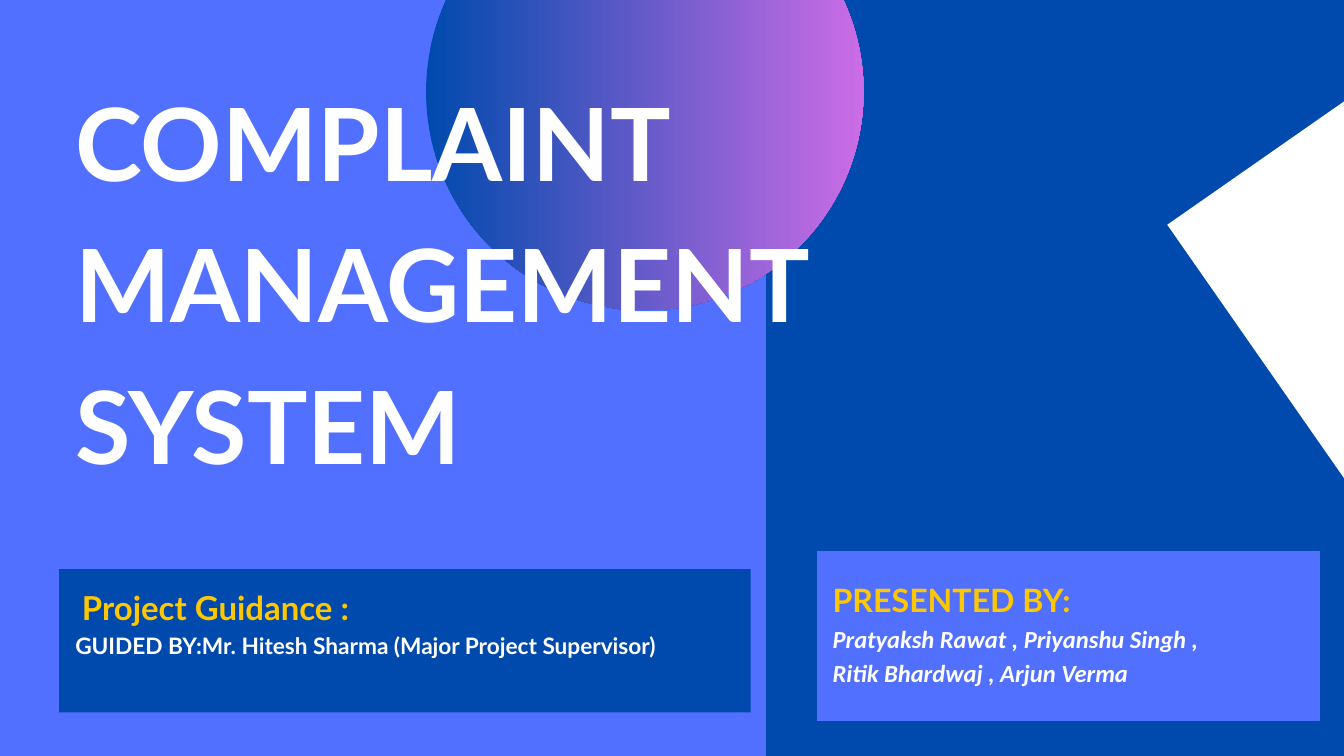
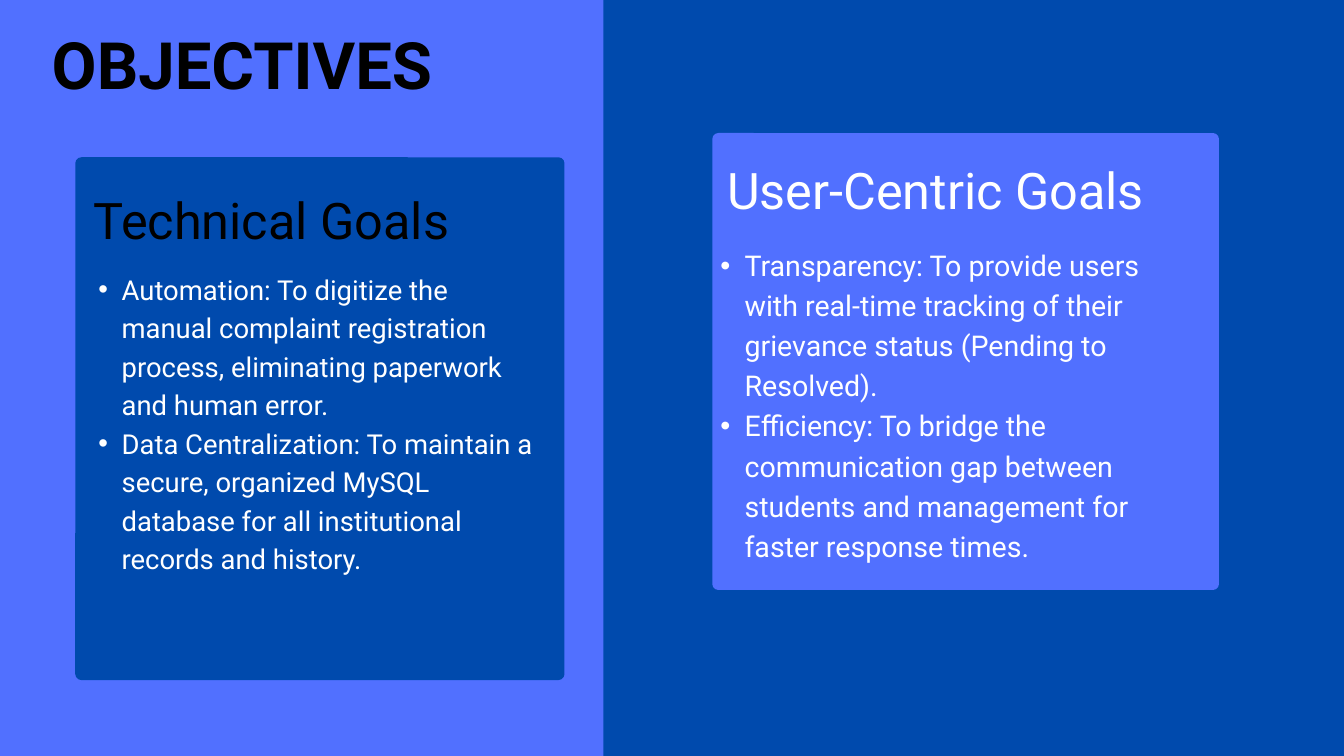
from dataclasses import dataclass
from lxml.etree import SubElement
from pptx import Presentation
from pptx.dml.color import RGBColor
from pptx.enum.shapes import MSO_SHAPE
from pptx.enum.text import MSO_ANCHOR, MSO_AUTO_SIZE, PP_ALIGN
from pptx.oxml.ns import qn
from pptx.util import Inches, Pt

SLIDE_WIDTH, SLIDE_HEIGHT = 20, 11.25
TITLE_ONLY = 5


@dataclass(frozen=True)
class Box:
    left: float
    top: float
    width: float
    height: float

    def inner(self, left, top, width, height):
        return Box(self.left + left, self.top + top, width, height)

    def lengths(self):
        return [Inches(value) for value in (self.left, self.top, self.width, self.height)]


@dataclass(frozen=True)
class Style:
    name: str
    size: float
    spacing: float
    color: RGBColor
    bold: bool = False
    italic: bool = False
    indent: float = 0
    bullet: bool = False

    def font_values(self):
        return {"name": self.name, "size": Pt(self.size), "bold": self.bold, "italic": self.italic}


class Theme:
    sky = RGBColor.from_string("5170FF")
    navy = RGBColor.from_string("004AAD")
    orchid = RGBColor.from_string("CB6CE6")
    gold = RGBColor.from_string("FFC700")
    white = RGBColor.from_string("FFFFFF")
    black = RGBColor.from_string("000000")

    cover_title = Style("Lato", 108.2, 151.4, white, bold=True)
    title = Style("Roboto", 69.9, 97.9, black, bold=True)
    guidance_heading = Style("Lato", 35.3, 49.4, gold, bold=True, indent=0.1)
    guidance_text = Style("Lato", 24.3, 34, white, bold=True)
    presenters_heading = Style("Lato", 34.4, 48.1, gold, bold=True)
    presenters_text = Style("Calibri", 26.3, 36.9, white, bold=True, italic=True)
    technical_heading = Style("Roboto", 54, 75.6, black)
    technical_text = Style("Roboto", 29.4, 41.2, white, indent=0.69, bullet=True)
    user_heading = Style("Roboto", 54, 75.6, white)
    user_text = Style("Roboto", 30.6, 42.9, white, indent=0.72, bullet=True)


def set_indent(paragraph, style):
    properties = paragraph._p.get_or_add_pPr()
    properties.set("marL", str(Inches(style.indent)))
    if style.bullet:
        properties.set("indent", str(-Inches(style.indent / 2)))
        SubElement(properties, qn("a:buFont"), typeface="Arial")
        SubElement(properties, qn("a:buChar"), char="•")


def write_text(shape, lines):
    frame = shape.text_frame
    frame_values = {
        "margin_left": 0, "margin_top": 0, "margin_right": 0, "margin_bottom": 0,
        "word_wrap": True, "auto_size": MSO_AUTO_SIZE.NONE, "vertical_anchor": MSO_ANCHOR.TOP,
    }
    for name, value in frame_values.items():
        setattr(frame, name, value)
    for index, (text, style) in enumerate(lines):
        paragraph = frame.add_paragraph() if index else frame.paragraphs[0]
        if style.indent:
            set_indent(paragraph, style)
        paragraph.alignment = PP_ALIGN.LEFT
        paragraph.line_spacing = Pt(style.spacing)
        run = paragraph.add_run()
        run.text = text
        for name, value in style.font_values().items():
            setattr(run.font, name, value)
        run.font.color.rgb = style.color


def add_text(slide, box, lines):
    write_text(slide.shapes.add_textbox(*box.lengths()), lines)


def add_block(slide, box, color, kind=MSO_SHAPE.RECTANGLE):
    shape = slide.shapes.add_shape(kind, *box.lengths())
    shape.shadow.inherit = False
    shape.fill.solid()
    shape.fill.fore_color.rgb = color
    shape.line.fill.background()
    return shape


def add_title(slide, box, lines, style):
    title = slide.shapes.title
    title.left, title.top, title.width, title.height = box.lengths()
    write_text(title, [(line, style) for line in lines])
    title.element.getparent().append(title.element)


def add_split_slide(presentation, split):
    slide = presentation.slides.add_slide(presentation.slide_layouts[TITLE_ONLY])
    slide.background.fill.solid()
    slide.background.fill.fore_color.rgb = Theme.sky
    add_block(slide, Box(split, 0, SLIDE_WIDTH - split, SLIDE_HEIGHT), Theme.navy)
    return slide


def add_gradient_circle(slide, box):
    circle = add_block(slide, box, Theme.navy, MSO_SHAPE.OVAL)
    circle.fill.gradient()
    circle.fill.gradient_angle = 0
    for stop, position, color in zip(circle.fill.gradient_stops, (0, 1), (Theme.navy, Theme.orchid)):
        stop.position = position
        stop.color.rgb = color


def add_credit(slide, box, color, text_left, text_top, lines):
    add_block(slide, box, color)
    text_box = box.inner(text_left, text_top, box.width - text_left, box.height - text_top)
    add_text(slide, text_box, lines)


def add_goal_card(slide, box, color, heading, heading_box, goals, goals_box):
    card = add_block(slide, box, color, MSO_SHAPE.ROUNDED_RECTANGLE)
    card.adjustments[0] = 0.09 / min(box.width, box.height)
    add_text(slide, box.inner(*heading_box), [heading])
    add_text(slide, box.inner(*goals_box), goals)


def add_cover(presentation):
    slide = add_split_slide(presentation, 11.4)
    add_gradient_circle(slide, Box(6.34, -1.89, 6.51, 6.51))
    add_title(slide, Box(1.12, 0.9, 16.94, 6.4), ["COMPLAINT", "MANAGEMENT", "SYSTEM"], Theme.cover_title)
    add_credit(slide, Box(0.88, 8.47, 10.29, 2.13), Theme.navy, 0.24, 0.18, [
        ("Project Guidance :", Theme.guidance_heading),
        ("GUIDED BY:Mr. Hitesh Sharma (Major Project Supervisor)", Theme.guidance_text),
    ])
    add_credit(slide, Box(12.16, 8.2, 7.48, 2.53), Theme.sky, 0.23, 0.34, [
        ("PRESENTED BY:", Theme.presenters_heading),
        ("Pratyaksh Rawat , Priyanshu Singh ,", Theme.presenters_text),
        ("Ritik Bhardwaj , Arjun Verma", Theme.presenters_text),
    ])
    corner = add_block(slide, Box(18.4, 1.05, 6.27, 5.57), Theme.white)
    corner.rotation = 325.1


def add_objectives(presentation):
    slide = add_split_slide(presentation, 8.98)
    add_title(slide, Box(0.77, 0.17, 5.99, 1.3), ["OBJECTIVES"], Theme.title)
    add_goal_card(
        slide, Box(1.12, 2.34, 7.28, 7.78), Theme.navy,
        ("Technical Goals", Theme.technical_heading), (0.27, 0.32, 6.8, 1.01),
        [
            ("Automation: To digitize the manual complaint registration process, "
             "eliminating paperwork and human error.", Theme.technical_text),
            ("Data Centralization: To maintain a secure, organized MySQL database "
             "for all institutional records and history.", Theme.technical_text),
        ],
        (0, 1.64, 6.81, 5.05),
    )
    add_goal_card(
        slide, Box(10.6, 1.98, 7.54, 6.8), Theme.sky,
        ("User-Centric Goals", Theme.user_heading), (0.22, 0.24, 7.1, 1.01),
        [
            ("Transparency: To provide users with real-time tracking of their "
             "grievance status (Pending to Resolved).", Theme.user_text),
            ("Efficiency: To bridge the communication gap between students and "
             "management for faster response times.", Theme.user_text),
        ],
        (-0.24, 1.63, 7.32, 4.73),
    )


def main():
    presentation = Presentation()
    presentation.slide_width = Inches(SLIDE_WIDTH)
    presentation.slide_height = Inches(SLIDE_HEIGHT)
    add_cover(presentation)
    add_objectives(presentation)
    presentation.save("out.pptx")


if __name__ == "__main__":
    main()
